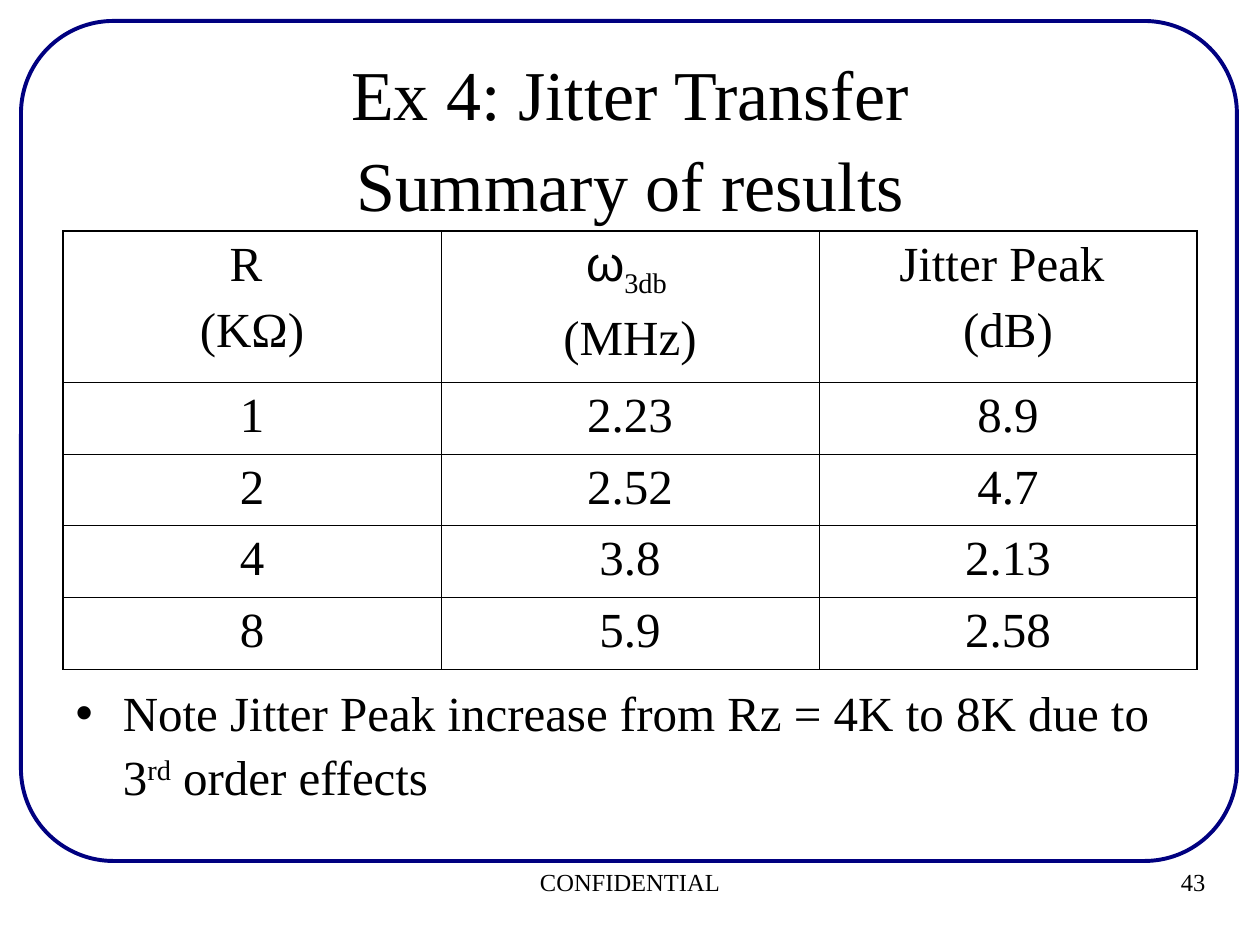
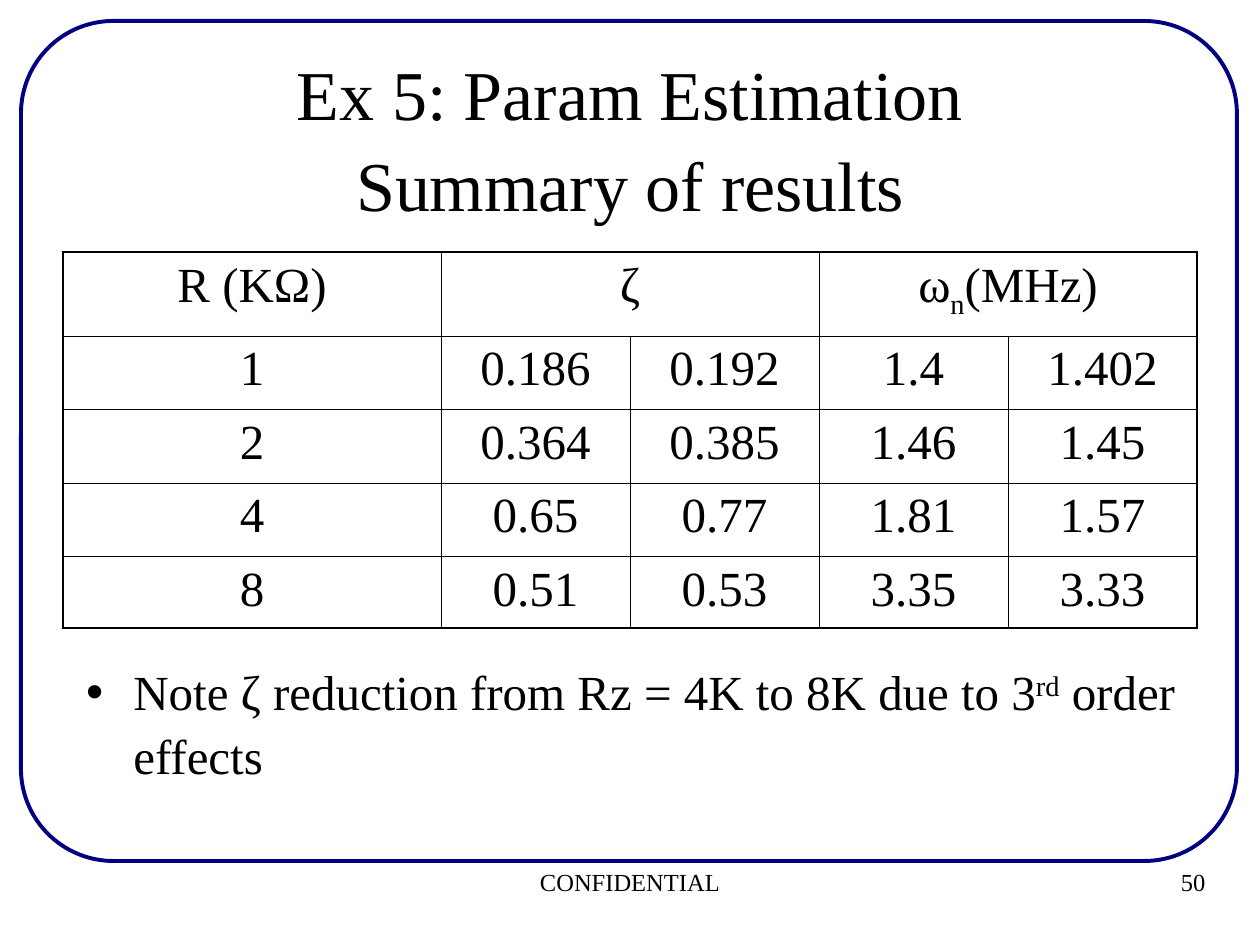
import dataclasses

import lxml.etree
import pptx
import pptx.dml.color
import pptx.enum.shapes
import pptx.enum.text
import pptx.oxml.ns
import pptx.util

ALIGN = pptx.enum.text.PP_ALIGN
ANCHOR = pptx.enum.text.MSO_ANCHOR
SUBSCRIPT, SUPERSCRIPT = -25000, 30000


@dataclasses.dataclass(frozen=True)
class Theme:
    ink: str = "000000"
    frame: str = "000080"
    font: str = "Times New Roman"
    symbol_font: str = "Arial"
    title_size: float = 40
    text_size: float = 28
    footer_size: float = 14
    line_spacing: float = 1.08
    paragraph_gap: float = 7
    frame_width: float = 2.25
    outer_border: float = 1.08
    inner_border: float = 0.45


THEME = Theme()

# The slide is a grid of 120 columns by 90 rows, twelve to the inch
COLUMNS, ROWS = 120, 90
FRAME = (2, 2, 115.8, 80)
TITLE = (6, 3.6, 108, 15)
FOOTER = (2, 82, 116, 6)
NUMBER = (110, 82, 6, 5)


def grid(cells):
    return pptx.util.Inches(cells / 12)


def place(shape, box):
    for name, cells in zip(("left", "top", "width", "height"), box):
        setattr(shape, name, grid(cells))


def write(paragraph, runs, size, **formats):
    """Fill a paragraph with runs: plain text, or (text, font values)."""
    for name, value in formats.items():
        setattr(paragraph, name, value)
    for item in [runs] if isinstance(runs, str) else runs:
        text, extra = (item, {}) if isinstance(item, str) else item
        run = paragraph.add_run()
        run.text = text
        values = {"name": THEME.font, "size": pptx.util.Pt(size)} | extra
        baseline = values.pop("baseline", None)
        for name, value in values.items():
            setattr(run.font, name, value)
        run.font.color.rgb = pptx.dml.color.RGBColor.from_string(THEME.ink)
        if baseline:
            run.font._element.set("baseline", str(baseline))


def set_frame(text_frame):
    values = {"word_wrap": True, "vertical_anchor": ANCHOR.TOP,
              "auto_size": pptx.enum.text.MSO_AUTO_SIZE.NONE}
    for name, value in values.items():
        setattr(text_frame, name, value)


def add_label(slide, box, text, alignment):
    label = slide.shapes.add_textbox(*map(grid, box))
    set_frame(label.text_frame)
    write(label.text_frame.paragraphs[0], text, THEME.footer_size, alignment=alignment)


def add_frame(slide):
    frame = slide.shapes.add_shape(
        pptx.enum.shapes.MSO_SHAPE.ROUNDED_RECTANGLE, *map(grid, FRAME))
    frame.adjustments[0] = 0.11
    frame.shadow.inherit = False
    frame.fill.background()
    frame.line.color.rgb = pptx.dml.color.RGBColor.from_string(THEME.frame)
    frame.line.width = pptx.util.Pt(THEME.frame_width)


def add_base_slide(presentation, topic, number):
    """A slide with the shared frame, footers and two-line title."""
    slide = presentation.slides.add_slide(presentation.slide_layouts[1])
    add_frame(slide)
    add_label(slide, NUMBER, str(number), ALIGN.RIGHT)
    add_label(slide, FOOTER, "CONFIDENTIAL", ALIGN.CENTER)
    title = slide.shapes.title
    place(title, TITLE)
    set_frame(title.text_frame)
    write(title.text_frame.paragraphs[0], topic, THEME.title_size,
          alignment=ALIGN.CENTER, line_spacing=THEME.line_spacing)
    title.text_frame.paragraphs[0].add_line_break()
    write(title.text_frame.paragraphs[0], "Summary of results", THEME.title_size)
    return slide


def add_note(slide, box, runs):
    """The bulleted remark in the body placeholder."""
    note = slide.placeholders[1]
    place(note, box)
    set_frame(note.text_frame)
    write(note.text_frame.paragraphs[0], runs, THEME.text_size,
          space_before=pptx.util.Pt(0), line_spacing=THEME.line_spacing)


def set_borders(cell, outer_sides):
    properties = cell._tc.get_or_add_tcPr()
    for side in "LRTB":
        width = THEME.outer_border if side in outer_sides else THEME.inner_border
        line = lxml.etree.SubElement(properties, pptx.oxml.ns.qn(f"a:ln{side}"),
                                     w=str(pptx.util.Pt(width)))
        fill = lxml.etree.SubElement(line, pptx.oxml.ns.qn("a:solidFill"))
        lxml.etree.SubElement(fill, pptx.oxml.ns.qn("a:srgbClr"), val=THEME.ink)


def add_results(slide, top, widths, heights, header, values):
    """A table; header maps a column to (columns spanned, paragraphs)."""
    table = slide.shapes.add_table(
        len(heights), len(widths), grid(6), grid(top),
        grid(sum(widths)), grid(sum(heights))).table
    for column, width in zip(table.columns, widths):
        column.width = grid(width)
    for row, height in zip(table.rows, heights):
        row.height = grid(height)
    last_row, last_column = len(heights) - 1, len(widths) - 1

    contents = {(0, column): paragraphs for column, (_, paragraphs) in header.items()}
    for row, line in enumerate(values, 1):
        contents |= {(row, column): [text] for column, text in enumerate(line)}
    for column, (span, _) in header.items():
        if span > 1:
            table.cell(0, column).merge(table.cell(0, column + span - 1))

    for row in range(last_row + 1):
        for column in range(last_column + 1):
            cell = table.cell(row, column)
            right = column + (cell.span_width if cell.is_merge_origin else 1) - 1
            edges = {"L": column == 0, "R": right == last_column,
                     "T": row == 0, "B": row == last_row}
            set_borders(cell, [side for side, outer in edges.items() if outer])
            cell.fill.background()
            for index, runs in enumerate(contents.get((row, column), [])):
                frame = cell.text_frame
                paragraph = frame.add_paragraph() if index else frame.paragraphs[0]
                gap = THEME.paragraph_gap if index else 0
                write(paragraph, runs, THEME.text_size, alignment=ALIGN.CENTER,
                      space_before=pptx.util.Pt(gap))


def main():
    presentation = pptx.Presentation()
    presentation.slide_width = grid(COLUMNS)
    presentation.slide_height = grid(ROWS)
    third_order = [("rd", {"baseline": SUPERSCRIPT}), " order effects"]

    # Jitter transfer
    slide = add_base_slide(presentation, "Ex 4: Jitter Transfer", 43)
    omega = ("ω", {"name": THEME.symbol_font})
    add_results(
        slide, 22, [36] * 3, [14.4] + [6.84] * 4,
        {0: (1, ["R ", "(KΩ)"]),
         1: (1, [[omega, ("3db ", {"baseline": SUBSCRIPT})], "(MHz)"]),
         2: (1, ["Jitter Peak ", "(dB)"])},
        [("1", "2.23", "8.9"),
         ("2", "2.52", "4.7"),
         ("4", "3.8", "2.13"),
         ("8", "5.9", "2.58")])
    add_note(slide, (6, 64, 108, 13),
             ["Note Jitter Peak increase from Rz = 4K to 8K due to 3", *third_order])

    # Parameter estimation
    slide = add_base_slide(presentation, "Ex 5: Param Estimation", 50)
    add_results(
        slide, 24, [36] + [18] * 4, [8] + [7] * 3 + [6.84],
        {0: (1, ["R (KΩ)"]),
         1: (2, ["ζ"]),
         3: (2, [["ω", ("n", {"baseline": SUBSCRIPT}), "(MHz)"]])},
        [("1", "0.186", "0.192", "1.4", "1.402"),
         ("2", "0.364", "0.385", "1.46", "1.45"),
         ("4", "0.65", "0.77", "1.81", "1.57"),
         ("8", "0.51", "0.53", "3.35", "3.33")])
    add_note(slide, (7, 62, 108, 15),
             ["Note ζ reduction from Rz = 4K to 8K due to 3", *third_order])

    presentation.save("out.pptx")


if __name__ == "__main__":
    main()
